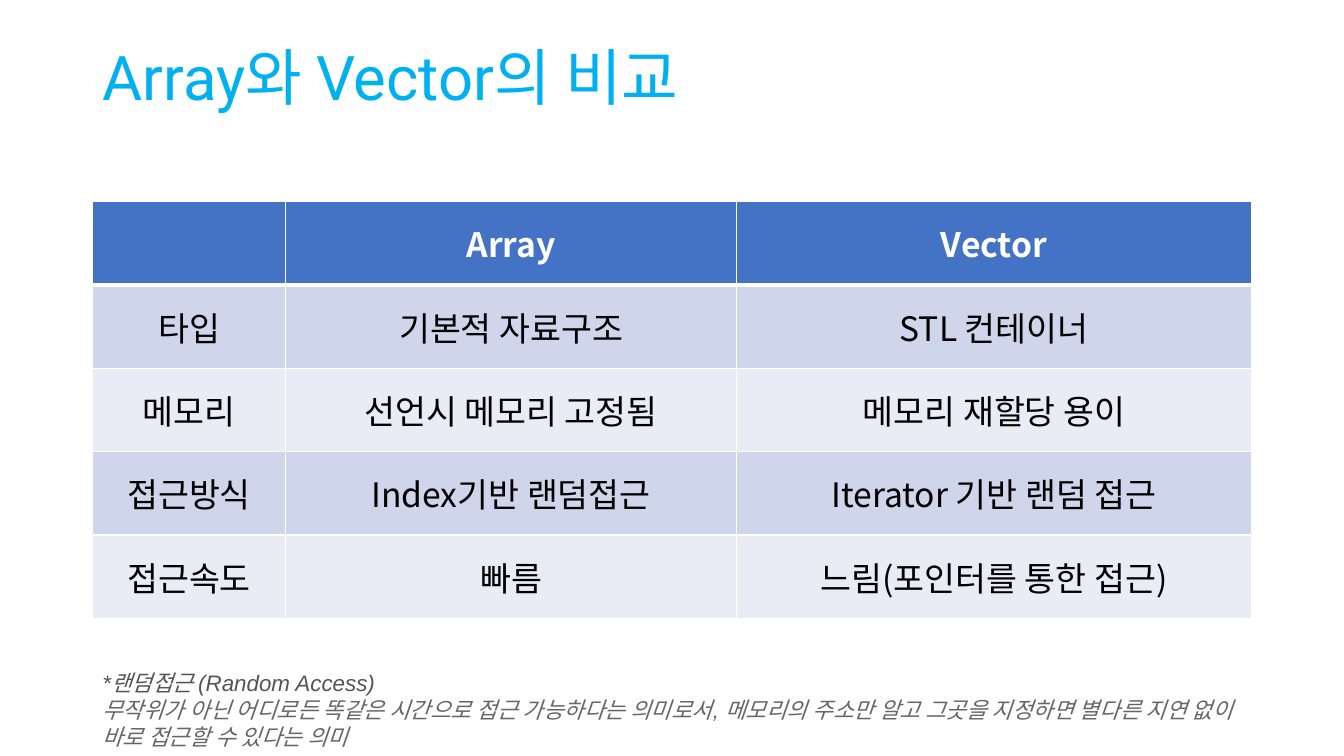
from lxml.etree import SubElement
from pptx import Presentation
from pptx.dml.color import RGBColor
from pptx.enum.text import MSO_ANCHOR, MSO_AUTO_SIZE, PP_ALIGN
from pptx.oxml import parse_xml
from pptx.oxml.ns import nsdecls, qn
from pptx.util import Cm, Pt

KOREAN = "Noto Sans CJK KR"
LEFT, WIDTH = 2.33, 29.21
COLS = (4.87, 11.36, 12.98)
ROW = 2.1
ROWS = (
    ("", "Array", "Vector"),
    ("타입", "기본적 자료구조", "STL 컨테이너"),
    ("메모리", "선언시 메모리 고정됨", "메모리 재할당 용이"),
    ("접근방식", "Index기반 랜덤접근", "Iterator 기반 랜덤 접근"),
    ("접근속도", "빠름", "느림(포인터를 통한 접근)"),
)
NOTES = (
    ("*랜덤접근 (Random Access)", "555555"),
    ("무작위가 아닌 어디로든 똑같은 시간으로 접근 가능하다는 의미로서, "
     "메모리의 주소만 알고 그곳을 지정하면 별다른 지연 없이 바로 접근할 수 있다는 의미",
     "666666"),
)


def paint(target, color):
    target.solid()
    target.fore_color.rgb = RGBColor.from_string(color)


def write(para, text, size, face, color, bold=False, italic=False):
    run = para.add_run()
    run.text = text
    font = run.font
    font.size, font.name = Pt(size), face
    font.bold, font.italic = bold, italic
    paint(font.fill, color)
    SubElement(run._r.get_or_add_rPr(), qn("a:ea"), typeface=KOREAN)


def edge(cell, row):
    """Draw white cell borders, thicker where the header meets the body."""
    thick = {"B": row == 0, "T": row == 1}
    for i, side in enumerate("LRTB"):
        width = Pt(3 if thick.get(side) else 1)
        line = parse_xml(
            f'<a:ln{side} {nsdecls("a")} w="{width}"><a:solidFill>'
            f'<a:srgbClr val="FFFFFF"/></a:solidFill></a:ln{side}>')
        cell._tc.get_or_add_tcPr().insert(i, line)


def place(shape, x, y, w, h):
    shape.left, shape.top, shape.width, shape.height = Cm(x), Cm(y), Cm(w), Cm(h)


def add_title(slide, x, y, w, h):
    title = slide.shapes.title
    place(title, x, y, w, h)
    frame = title.text_frame
    frame.auto_size = MSO_AUTO_SIZE.NONE
    frame.vertical_anchor = MSO_ANCHOR.MIDDLE
    para = frame.paragraphs[0]
    para.alignment, para.line_spacing = PP_ALIGN.LEFT, 0.9
    write(para, "Array와 Vector의 비교", 44, "Roboto", "00B0F0")


def add_grid(slide, x, y, w, h):
    table = slide.shapes.add_table(
        len(ROWS), len(COLS), Cm(x), Cm(y), Cm(w), Cm(h)).table
    for col, width in zip(table.columns, COLS):
        col.width = Cm(width)
    for r, texts in enumerate(ROWS):
        table.rows[r].height = Cm(h / len(ROWS))
        head = r == 0
        back = "4472C4" if head else ("E9EBF5", "CFD5EA")[r % 2]
        for c, text in enumerate(texts):
            cell = table.cell(r, c)
            paint(cell.fill, back)
            edge(cell, r)
            cell.vertical_anchor = MSO_ANCHOR.MIDDLE
            para = cell.text_frame.paragraphs[0]
            para.alignment = PP_ALIGN.CENTER
            if text:
                write(para, text, 24, KOREAN,
                      "FFFFFF" if head else "000000", bold=head)


def add_notes(slide, x, y, w, h):
    frame = slide.shapes.add_textbox(Cm(x), Cm(y), Cm(w), Cm(h)).text_frame
    frame.word_wrap = True
    for i, (text, color) in enumerate(NOTES):
        para = frame.add_paragraph() if i else frame.paragraphs[0]
        write(para, text, 16, "Arial", color, italic=True)


def main():
    deck = Presentation()
    deck.slide_width, deck.slide_height = Cm(33.87), Cm(19.05)
    slide = deck.slides.add_slide(deck.slide_layouts[5])
    add_grid(slide, LEFT, 5.08, WIDTH, ROW * len(ROWS))
    add_title(slide, LEFT, 0.2, WIDTH, 3.68)
    add_notes(slide, LEFT, 16.74, WIDTH, 3.07)
    deck.save("out.pptx")


if __name__ == "__main__":
    main()
